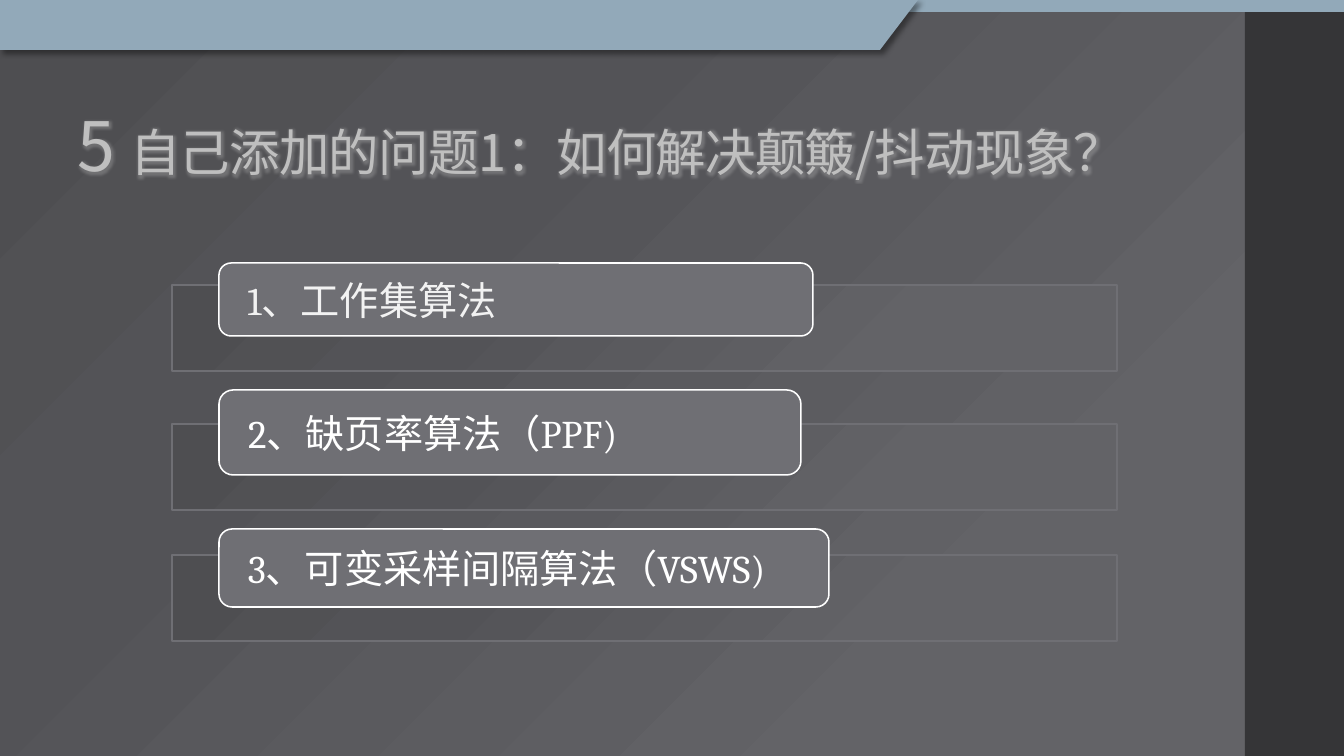
from lxml import etree
from pptx import Presentation
from pptx.dml.color import RGBColor
from pptx.enum.shapes import MSO_SHAPE
from pptx.enum.text import MSO_ANCHOR, PP_ALIGN
from pptx.oxml import parse_xml
from pptx.oxml.ns import nsdecls, qn
from pptx.util import Pt

PX = 914400 / 100.8
GRADIENT = [(0, "636367"), (23, "636367"), (69, "535357"), (97, "4E4E51")]


def paint(color_format, color):
    color_format.rgb = RGBColor.from_string(color)


def add_gradient(fill, element):
    fill.gradient()
    stops = "".join(
        f'<a:gs pos="{pos * 1000}"><a:srgbClr val="{color}"/></a:gs>'
        for pos, color in GRADIENT
    )
    grad = next(element.iter(qn("a:gradFill")))
    grad.getparent().replace(grad, parse_xml(
        f'<a:gradFill {nsdecls("a")} rotWithShape="1"><a:gsLst>{stops}</a:gsLst>'
        '<a:path path="circle"><a:fillToRect l="100000" t="100000"/></a:path>'
        '</a:gradFill>'))


prs = Presentation()
prs.slide_width, prs.slide_height = round(1344 * PX), round(756 * PX)
s = prs.slides.add_slide(prs.slide_layouts[6])
add_gradient(s.background.fill, s._element)

for x, y, w, h, color in [
    (1245, 0, 99, 756, "353537"),
    (0, 0, 1344, 12, "92A9B9"),
]:
    sp = s.shapes.add_shape(MSO_SHAPE.RECTANGLE, *(round(v * PX) for v in (x, y, w, h)))
    sp.shadow.inherit = False
    sp.fill.solid()
    paint(sp.fill.fore_color, color)
    sp.line.fill.background()

builder = s.shapes.build_freeform(0, 0, scale=PX)
builder.add_line_segments([(918, 0), (880, 50), (0, 50)], close=True)
banner = builder.convert_to_shape()
banner.fill.solid()
paint(banner.fill.fore_color, "92A9B9")
banner.line.fill.background()
banner.shadow.inherit = False
banner._element.spPr.find(qn("a:effectLst")).append(parse_xml(
    f'<a:outerShdw {nsdecls("a")} blurRad="50800" dist="38100" dir="2700000" algn="tl">'
    '<a:srgbClr val="000000"><a:alpha val="40000"/></a:srgbClr></a:outerShdw>'))

title = s.shapes.add_textbox(*(round(v * PX) for v in (68, 108, 1191, 78)))
tf = title.text_frame
tf.word_wrap = True
tf.vertical_anchor = MSO_ANCHOR.TOP
p = tf.paragraphs[0]
p.line_spacing = 0.9
for text, size in [("5 ", 48.6), ("自己添加的问题1：如何解决颠簸/抖动现象？", 36)]:
    r = p.add_run()
    r.text = text
    r.font.size = Pt(size)
    r.font.name = "Noto Sans CJK SC"
    paint(r.font.fill.solid() or r.font.color, "BFBFBF")
    rPr = r._r.get_or_add_rPr()
    rPr.set("spc", "-50")
    latin = rPr.find(qn("a:latin"))
    latin.addprevious(parse_xml(
        f'<a:effectLst {nsdecls("a")}><a:glow rad="50800">'
        '<a:srgbClr val="BFBFBF"><a:alpha val="30000"/></a:srgbClr></a:glow></a:effectLst>'))
    ea = etree.Element(qn("a:ea"), typeface="Noto Sans CJK SC")
    latin.addnext(ea)

for frame_y, y, w, h, text, color in [
    (285, 263, 594, 73, "1、工作集算法", "F2F2F2"),
    (424, 390, 582, 85, "2、缺页率算法（PPF)", "FFFFFF"),
    (555, 529, 610, 78, "3、可变采样间隔算法（VSWS)", "FFFFFF"),
]:
    frame = s.shapes.add_shape(
        MSO_SHAPE.RECTANGLE, *(round(v * PX) for v in (172, frame_y, 945, 86)))
    add_gradient(frame.fill, frame._element)
    pill = s.shapes.add_shape(
        MSO_SHAPE.ROUNDED_RECTANGLE, *(round(v * PX) for v in (219, y, w, h)))
    pill.fill.solid()
    paint(pill.fill.fore_color, "6F6F74")
    for sp, line_color in [(frame, "6F6F74"), (pill, "FFFFFF")]:
        sp.shadow.inherit = False
        sp.line.width = Pt(1.1)
        paint(sp.line.color, line_color)
    tf = pill.text_frame
    tf.word_wrap = True
    tf.vertical_anchor = MSO_ANCHOR.MIDDLE
    tf.margin_left = tf.margin_right = round(25 * PX)
    tf.margin_top = tf.margin_bottom = 0
    p = tf.paragraphs[0]
    p.text = text
    p.alignment = PP_ALIGN.LEFT
    p.font.size = Pt(28)
    p.font.name = "Cambria"
    paint(p.font.color, color)

prs.save("out.pptx")
